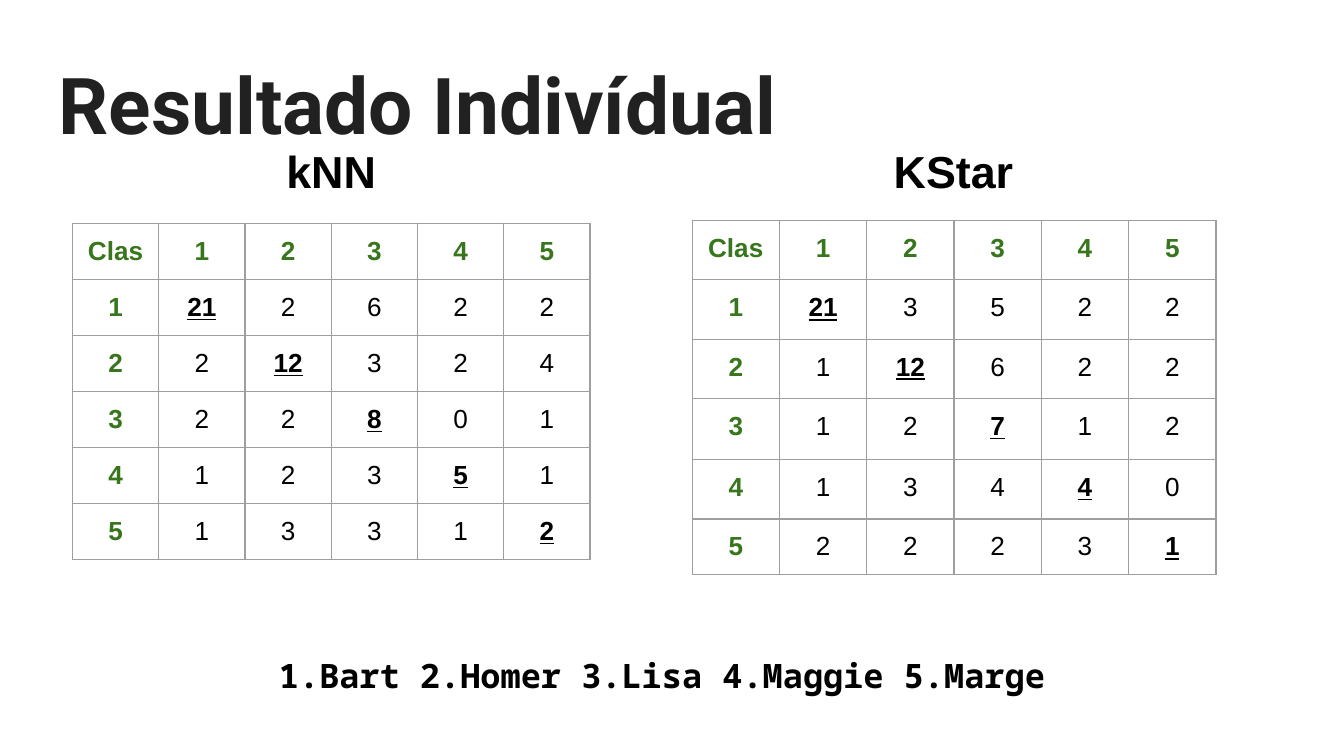
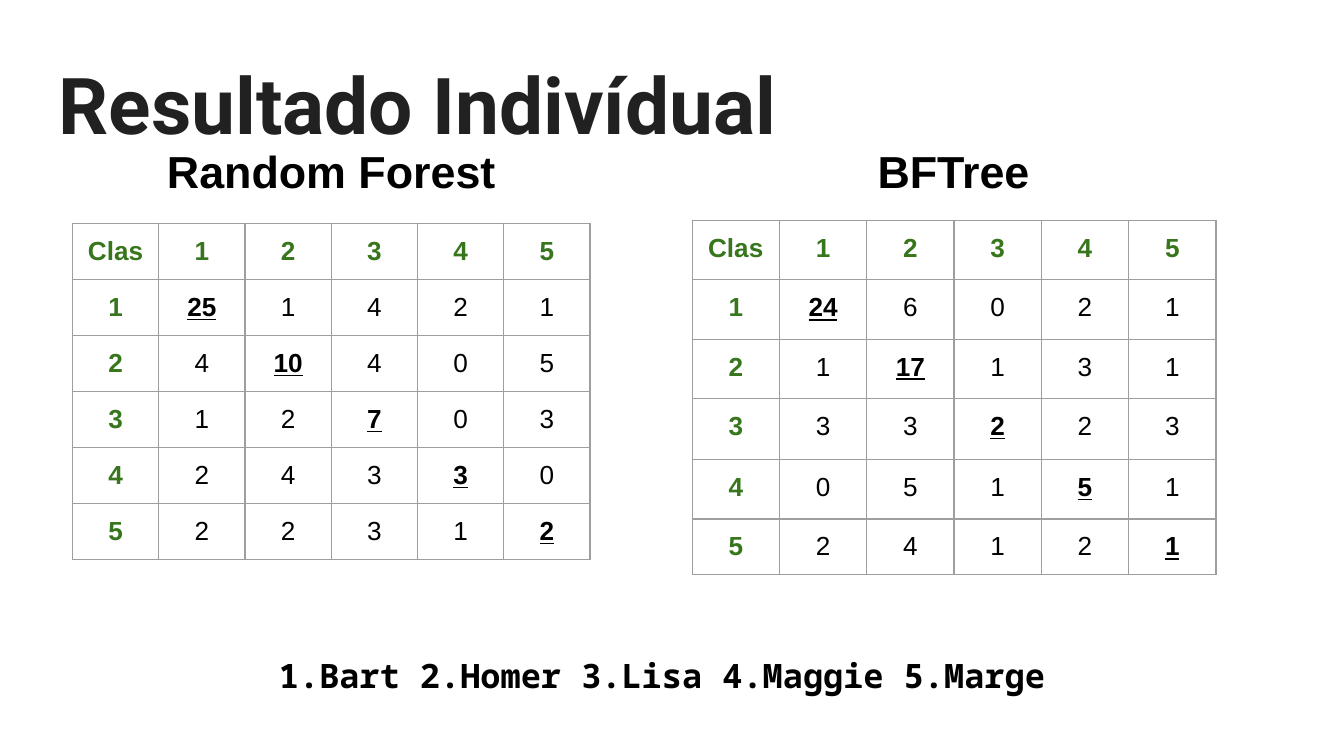
from lxml import etree
from pptx import Presentation
from pptx.dml.color import RGBColor
from pptx.enum.text import MSO_ANCHOR, MSO_AUTO_SIZE, PP_ALIGN
from pptx.oxml.ns import qn
from pptx.util import Cm, Pt

LEFT, MID = PP_ALIGN.LEFT, PP_ALIGN.CENTER
TOP = MSO_ANCHOR.TOP
FIXED = MSO_AUTO_SIZE.NONE
BLACK, DARK, GREEN, GREY = "000000", "212121", "38761D", "9E9E9E"
PAD = Cm(0.25)

TITLE = "Resultado Indivídual"
KEY = "1.Bart 2.Homer 3.Lisa 4.Maggie 5.Marge "
SIDES = [
    {"left": 1.37, "top": 4.22, "col": 1.63, "rows": [1.06] * 6, "mid": 6.26},
    {"left": 13.08, "top": 4.17, "col": 1.65,
     "rows": [1.12, 1.12, 1.12, 1.16, 1.12, 1.05], "mid": 18.02},
]
PAGES = [
    [("kNN", 6.32, [[21, 2, 6, 2, 2], [2, 12, 3, 2, 4], [2, 2, 8, 0, 1],
                    [1, 2, 3, 5, 1], [1, 3, 3, 1, 2]]),
     ("KStar", 6.32, [[21, 3, 5, 2, 2], [1, 12, 6, 2, 2], [1, 2, 7, 1, 2],
                      [1, 3, 4, 4, 0], [2, 2, 2, 3, 1]])],
    [("Random Forest", 9.78, [[25, 1, 4, 2, 1], [4, 10, 4, 0, 5], [1, 2, 7, 0, 3],
                              [2, 4, 3, 3, 0], [2, 2, 3, 1, 2]]),
     ("BFTree", 6.32, [[24, 6, 0, 2, 1], [1, 17, 1, 3, 1], [3, 3, 2, 2, 3],
                       [0, 5, 1, 5, 1], [2, 4, 1, 2, 1]])],
]


def paint(color):
    return RGBColor.from_string(color)


def write(frame, text, size=14, font="Arial", color=BLACK, bold=True,
          under=False, align=MID):
    para = frame.paragraphs[0]
    para.alignment = align
    run = para.add_run()
    run.text = text
    face = run.font
    face.size, face.name = Pt(size), font
    face.bold, face.underline = bold, under
    face.color.rgb = paint(color)
    return para


def pad(item):
    item.margin_left = item.margin_right = PAD
    item.margin_top = item.margin_bottom = PAD
    item.vertical_anchor = TOP


def place(shape, left, top, width, height):
    shape.left, shape.top = Cm(left), Cm(top)
    shape.width, shape.height = Cm(width), Cm(height)
    frame = shape.text_frame
    frame.word_wrap = True
    frame.auto_size = FIXED
    pad(frame)
    return frame


def head(slide, text, mid, width):
    box = slide.shapes.add_textbox(0, 0, 0, 0)
    frame = place(box, mid - width / 2, 2.46, width, 1.5)
    write(frame, text, size=24)


def edge(cell):
    props = cell._tc.get_or_add_tcPr()
    for side in ("a:lnL", "a:lnR", "a:lnT", "a:lnB"):
        line = etree.SubElement(props, qn(side), w=str(Pt(0.75)))
        fill = etree.SubElement(line, qn("a:solidFill"))
        etree.SubElement(fill, qn("a:srgbClr"), val=GREY)


def grid(slide, counts, side):
    size = len(counts) + 1
    names = [str(n) for n in range(1, size)]
    data = [["Clas"] + names]
    data += [[name] + row for name, row in zip(names, counts)]
    table = slide.shapes.add_table(
        size, size, Cm(side["left"]), Cm(side["top"]),
        Cm(side["col"] * size), Cm(sum(side["rows"]))).table
    table.first_row = table.horz_banding = False
    for col in table.columns:
        col.width = Cm(side["col"])
    for r, row in enumerate(data):
        table.rows[r].height = Cm(side["rows"][r])
        for c, value in enumerate(row):
            cell = table.cell(r, c)
            pad(cell)
            edge(cell)
            cell.fill.background()
            label = r == 0 or c == 0
            hit = r == c and not label
            write(cell.text_frame, str(value), color=GREEN if label else BLACK,
                  bold=label or hit, under=hit)


def base(deck):
    slide = deck.slides.add_slide(deck.slide_layouts[1])
    frame = place(slide.shapes.title, 0.86, 0.81, 23.67, 2.24)
    write(frame, TITLE, size=42, font="Roboto", color=DARK, align=LEFT)
    frame = place(slide.placeholders[1], 0, 12.01, 25.4, 1.5)
    para = write(frame, KEY, size=18, font="Noto Sans Mono")
    para.line_spacing = 1.15
    para.space_before, para.space_after = Pt(0), Pt(16)
    props = para._p.get_or_add_pPr()
    props.set("marL", "0")
    props.set("indent", "0")
    etree.SubElement(props, qn("a:buNone"))
    return slide


def main():
    deck = Presentation()
    deck.slide_width, deck.slide_height = Cm(25.4), Cm(14.29)
    for page in PAGES:
        slide = base(deck)
        for (name, width, counts), side in zip(page, SIDES):
            grid(slide, counts, side)
            head(slide, name, side["mid"], width)
    deck.save("out.pptx")


if __name__ == "__main__":
    main()
